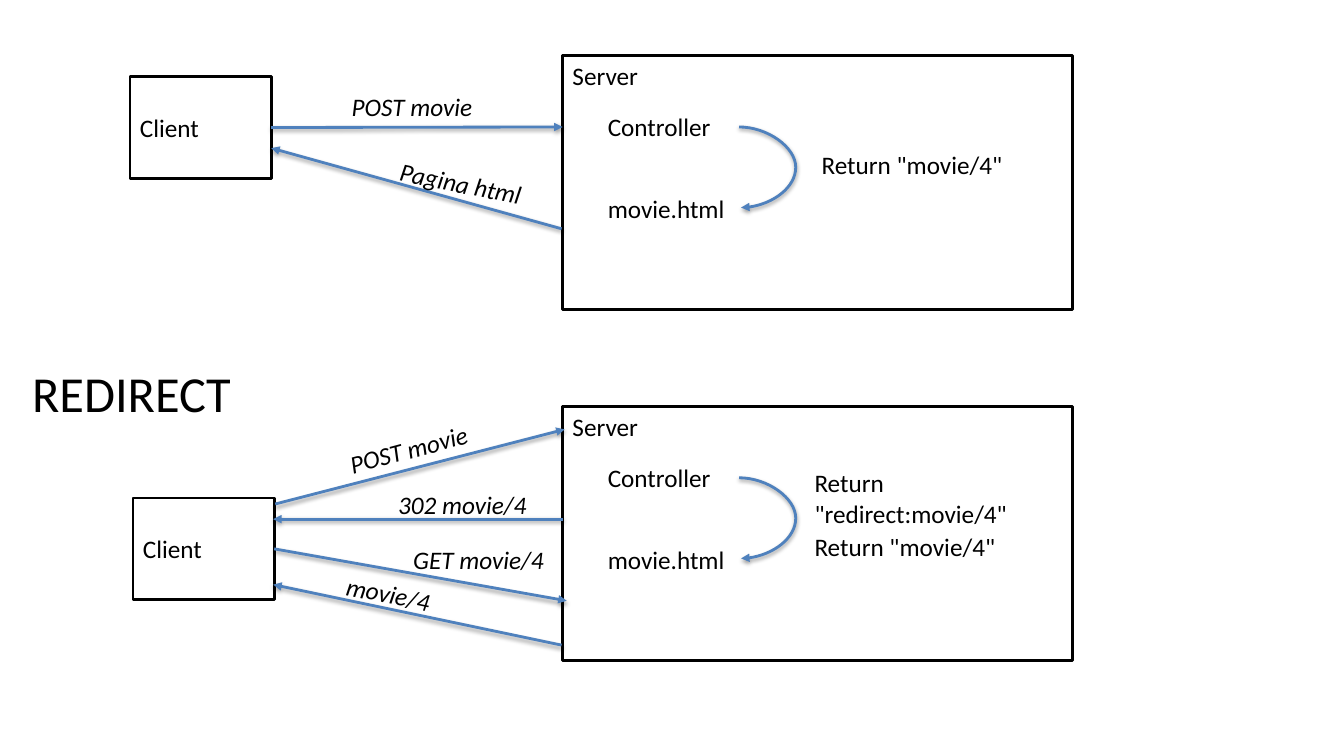
from dataclasses import dataclass
from typing import Optional

from lxml import etree
from pptx import Presentation
from pptx.dml.color import RGBColor
from pptx.enum.dml import MSO_LINE
from pptx.enum.shapes import MSO_CONNECTOR, MSO_SHAPE
from pptx.enum.text import MSO_ANCHOR, MSO_AUTO_SIZE, PP_ALIGN
from pptx.oxml.ns import qn
from pptx.shapes.autoshape import Shape
from pptx.shapes.connector import Connector
from pptx.shapes.shapetree import SlideShapes
from pptx.util import Emu, Inches, Pt

RECTANGLE = MSO_SHAPE.RECTANGLE
STRAIGHT, CURVE = MSO_CONNECTOR.STRAIGHT, MSO_CONNECTOR.CURVE
SOLID = MSO_LINE.SOLID
TOP, MIDDLE = MSO_ANCHOR.TOP, MSO_ANCHOR.MIDDLE
LEFT = PP_ALIGN.LEFT
GROW = MSO_AUTO_SIZE.SHAPE_TO_FIT_TEXT
RIGHT_SIDE = 3

COLUMNS, ROWS = 133.3, 75
CELL = 0.1
SERVER_LEFT = 55.8
FLOW_TOPS = (5.5, 40.3)


@dataclass(frozen=True)
class Theme:
    font: str = "Calibri"
    ink: RGBColor = RGBColor(0x00, 0x00, 0x00)
    paper: RGBColor = RGBColor(0xFF, 0xFF, 0xFF)
    arrow: RGBColor = RGBColor(0x4F, 0x81, 0xBD)
    body: Pt = Pt(18)
    heading: Pt = Pt(36)
    stroke: Pt = Pt(2)


THEME = Theme()


@dataclass(frozen=True)
class Box:
    text: str
    column: float
    row: float
    columns: float
    rows: float
    anchor: MSO_ANCHOR = TOP


@dataclass(frozen=True)
class Label:
    text: str
    column: float
    row: float
    columns: float = 17.5
    rows: float = 4
    rotation: float = 0
    italic: bool = False
    size: Pt = THEME.body
    wrap: bool = True


@dataclass(frozen=True)
class Arrow:
    start: tuple[float, float]
    end: tuple[float, float]
    client: Optional[int] = None
    bulge: Optional[int] = None


CLIENTS = (
    Box("Client", 12.9, 7.6, 14, 10.1, MIDDLE),
    Box("Client", 13.2, 49.4, 14, 10.1, MIDDLE),
)
ARROWS = (
    Arrow((26.9, 12.6), (55.8, 12.6), client=0),
    Arrow((55.7, 22.7), (26.9, 14.7)),
    Arrow((27.3, 50), (56, 42.6)),
    Arrow((55.8, 51.5), (27.1, 51.5)),
    Arrow((27.2, 54.5), (56.2, 59.6), client=1),
    Arrow((55.7, 64), (27.1, 58)),
)
LABELS = (
    Label("POST movie", 33.9, 8.6, italic=True),
    Label("Pagina html", 38.6, 16.5, rotation=11.4, italic=True),
    Label('Return "movie/4"', 80.5, 14.3, 20.8),
    Label("REDIRECT", 2.2, 35.4, 21.9, 7.1, size=THEME.heading, wrap=False),
    Label("POST movie", 33.5, 42.1, rotation=345.1, italic=True),
    Label("302 movie/4", 38.5, 48.1, italic=True),
    Label("GET movie/4", 40, 53.5, italic=True),
    Label("movie/4", 33.3, 57.6, rotation=11.4, italic=True),
    Label('Return "redirect:movie/4"', 79.8, 45.9, 24.8, 7.1),
    Label('Return "movie/4"', 79.8, 52.2, 24.8),
)


def grid(cells: float) -> Emu:
    return Inches(cells * CELL)


def apply(target: object, values: dict[str, object]) -> None:
    for name, value in values.items():
        setattr(target, name, value)


def write(shape: Shape, text: str, frame_format: dict[str, object],
          font_format: dict[str, object]) -> None:
    apply(shape.text_frame, frame_format)
    paragraph = shape.text_frame.paragraphs[0]
    paragraph.text = text
    paragraph.alignment = LEFT
    font = paragraph.runs[0].font
    apply(font, {"name": THEME.font, "size": THEME.body} | font_format)
    font.color.rgb = THEME.ink


def draw_box(shapes: SlideShapes, box: Box) -> Shape:
    shape = shapes.add_shape(RECTANGLE, grid(box.column), grid(box.row),
                             grid(box.columns), grid(box.rows))
    shape.shadow.inherit = False
    shape.fill.solid()
    shape.fill.fore_color.rgb = THEME.paper
    shape.line.color.rgb = THEME.ink
    shape.line.width = THEME.stroke
    write(shape, box.text, {"word_wrap": True, "vertical_anchor": box.anchor}, {})
    return shape


def draw_label(shapes: SlideShapes, label: Label) -> None:
    shape = shapes.add_textbox(grid(label.column), grid(label.row),
                               grid(label.columns), grid(label.rows))
    shape.rotation = label.rotation
    write(shape, label.text, {"word_wrap": label.wrap, "auto_size": GROW},
          {"size": label.size, "italic": label.italic})


def add_shadow(connector: Connector) -> None:
    effects = etree.SubElement(connector._element.spPr, qn("a:effectLst"))
    shadow = etree.SubElement(effects, qn("a:outerShdw"), blurRad="40000",
                              dist="20000", dir="5400000", rotWithShape="0")
    color = etree.SubElement(shadow, qn("a:srgbClr"), val=str(THEME.ink))
    etree.SubElement(color, qn("a:alpha"), val="38000")


def draw_arrow(shapes: SlideShapes, arrow: Arrow, clients: list[Shape]) -> None:
    kind = STRAIGHT if arrow.bulge is None else CURVE
    connector = shapes.add_connector(kind, *map(grid, arrow.start + arrow.end))
    if arrow.client is not None:
        connector.begin_connect(clients[arrow.client], RIGHT_SIDE)
    apply(connector.line, {"width": THEME.stroke, "dash_style": SOLID})
    connector.line.color.rgb = THEME.arrow
    outline = connector.line._get_or_add_ln()
    etree.SubElement(outline, qn("a:tailEnd"), type="triangle")
    add_shadow(connector)
    if arrow.bulge is not None:
        geometry = connector._element.spPr.find(qn("a:prstGeom"))
        adjustments = geometry.find(qn("a:avLst"))
        if adjustments is None:
            adjustments = etree.SubElement(geometry, qn("a:avLst"))
        etree.SubElement(adjustments, qn("a:gd"), name="adj1",
                         fmla=f"val {arrow.bulge}")


def draw_server(shapes: SlideShapes, top: float) -> None:
    draw_box(shapes, Box("Server", SERVER_LEFT, top, 50.6, 25.2))
    for text, offset in (("Controller", 5.1), ("movie.html", 13.2)):
        draw_label(shapes, Label(text, SERVER_LEFT + 3.5, top + offset, 14))
    draw_arrow(shapes, Arrow((73.3, top + 7.1), (73.5, top + 15.1),
                             bulge=2800000), [])


def main() -> None:
    presentation = Presentation()
    presentation.slide_width = grid(COLUMNS)
    presentation.slide_height = grid(ROWS)
    slide = presentation.slides.add_slide(presentation.slide_layouts[6])
    shapes = slide.shapes
    clients = [draw_box(shapes, client) for client in CLIENTS]
    for top in FLOW_TOPS:
        draw_server(shapes, top)
    for arrow in ARROWS:
        draw_arrow(shapes, arrow, clients)
    for label in LABELS:
        draw_label(shapes, label)
    presentation.save("out.pptx")


if __name__ == "__main__":
    main()
